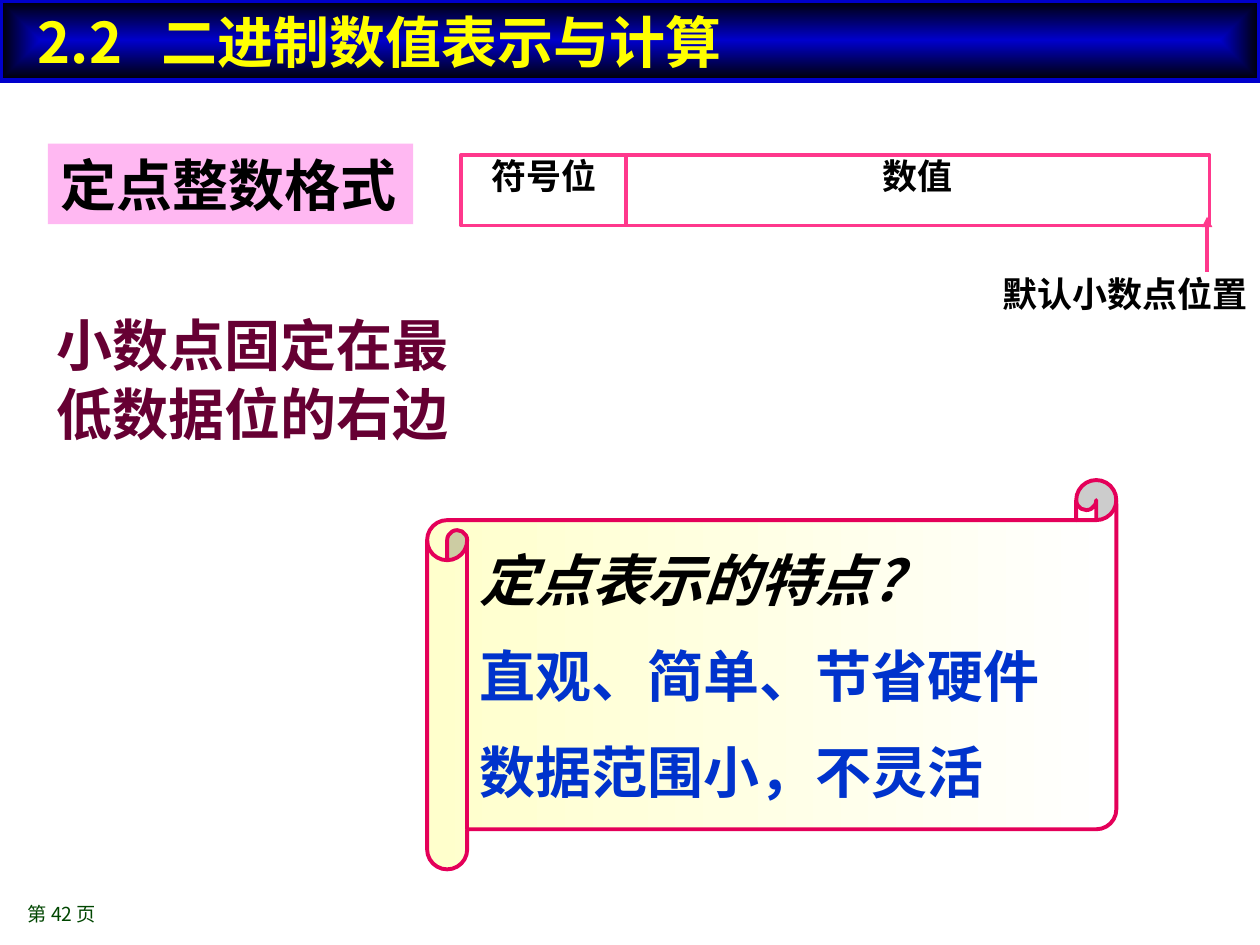
from lxml import etree
from pptx import Presentation
from pptx import util as u
from pptx.dml.color import RGBColor
from pptx.enum import shapes, text
from pptx.oxml import ns

BLACK = RGBColor(0x00, 0x00, 0x00)
WHITE = RGBColor(0xFF, 0xFF, 0xFF)
BANNER_BLUE = RGBColor(0x00, 0x00, 0xCC)
YELLOW = RGBColor(0xFF, 0xFF, 0x00)
PALE_PINK = RGBColor(0xFF, 0xB8, 0xF2)
HOT_PINK = RGBColor(0xFF, 0x38, 0x8C)
PLUM = RGBColor(0x66, 0x00, 0x33)
CREAM = RGBColor(0xFF, 0xFF, 0xCC)
CRIMSON = RGBColor(0xE4, 0x00, 0x59)
ANSWER_BLUE = RGBColor(0x00, 0x33, 0xCC)
DARK_GREEN = RGBColor(0x00, 0x46, 0x00)


def sub(parent, tag, **attributes):
    return etree.SubElement(parent, ns.qn(tag), attributes)


class SlideBuilder:
    """Hold the slide and its shared style, and add each kind of element."""

    font_name = "Noto Sans CJK SC"
    large = {"size": u.Pt(32), "bold": True}
    label = {"size": u.Pt(20), "bold": True}

    def __init__(self, slide):
        self.slide = slide

    def place(self, shape, box):
        for name, value in zip(("left", "top", "width", "height"), box):
            setattr(shape, name, u.Inches(value))

    def set_text(self, shape, lines, style, frame=None, paragraph=None, font_name=None):
        body = shape.text_frame
        settings = {"word_wrap": True, "auto_size": text.MSO_AUTO_SIZE.NONE,
                    "vertical_anchor": text.MSO_ANCHOR.MIDDLE, **(frame or {})}
        for name, value in settings.items():
            setattr(body, name, value)
        for index, (words, color, italic) in enumerate(lines):
            item = body.paragraphs[0] if index == 0 else body.add_paragraph()
            layout = {"alignment": text.PP_ALIGN.LEFT, **(paragraph or {})}
            if index:
                layout["space_before"] = u.Pt(16)
            for name, value in layout.items():
                setattr(item, name, value)
            run = item.add_run()
            run.text = words
            values = {"name": font_name or self.font_name, "italic": italic, **style}
            for name, value in values.items():
                setattr(run.font, name, value)
            run.font.color.rgb = color
            sub(run.font._element, "a:ea", typeface=values["name"])

    def outline(self, shape, color, width):
        shape.line.color.rgb = color
        shape.line.width = u.Pt(width)

    def gradient(self, shape, colors):
        shape.fill.gradient()
        for stop, color, position in zip(shape.fill.gradient_stops, colors, (0, 1)):
            stop.color.rgb = color
            stop.position = position
        shape.fill.gradient_angle = 0

    def banner(self, number, heading, box):
        title = self.slide.shapes.title
        self.place(title, box)
        self.gradient(title, (BANNER_BLUE, BLACK))
        linear = title._element.spPr.find(".//" + ns.qn("a:lin"))
        radial = etree.Element(ns.qn("a:path"), {"path": "shape"})
        sub(radial, "a:fillToRect", l="50000", t="50000", r="50000", b="50000")
        linear.getparent().replace(linear, radial)
        self.outline(title, BANNER_BLUE, 3)
        properties = title.text_frame.paragraphs[0]._p.get_or_add_pPr()
        sub(sub(properties, "a:tabLst"), "a:tab", pos=str(u.Inches(0.98)), algn="l")
        self.set_text(title, [(f"{number}\t{heading}", YELLOW, False)], self.large,
                      {"margin_left": u.Inches(0.3)}, {"line_spacing": u.Pt(39)},
                      "Noto Sans CJK JP")

    def panel(self, box, fill=None, line=None, kind=shapes.MSO_SHAPE.RECTANGLE):
        shape = self.slide.shapes.add_shape(kind, *map(u.Inches, box))
        shape.shadow.inherit = False
        if fill is not None:
            shape.fill.solid()
            shape.fill.fore_color.rgb = fill
        if line is None:
            shape.line.fill.background()
        else:
            self.outline(shape, *line)
        return shape

    def field(self, words, box, alignment=text.PP_ALIGN.CENTER, line=(HOT_PINK, 2)):
        self.set_text(self.panel(box, WHITE, line), [(words, BLACK, False)], self.label,
                      {"vertical_anchor": text.MSO_ANCHOR.TOP, "margin_top": 0},
                      {"alignment": alignment})

    def note(self, words, color, box, style, paragraph=None):
        shape = self.slide.shapes.add_textbox(*map(u.Inches, box))
        self.set_text(shape, [(words, color, False)], style, paragraph=paragraph)

    def scroll(self, lines, box):
        shape = self.panel(box, line=(CRIMSON, 2.25),
                           kind=shapes.MSO_SHAPE.HORIZONTAL_SCROLL)
        shape.adjustments[0] = 0.103
        self.gradient(shape, (CREAM, WHITE))
        self.set_text(shape, lines, self.large, {"word_wrap": False},
                      {"line_spacing": u.Pt(39)})

    def arrow(self, start, end):
        pointer = self.slide.shapes.add_connector(
            shapes.MSO_CONNECTOR.STRAIGHT, *map(u.Inches, start + end))
        self.outline(pointer, HOT_PINK, 2)
        line = pointer._element.spPr.find(ns.qn("a:ln"))
        sub(line, "a:tailEnd", type="triangle")
        sub(pointer._element.spPr, "a:effectLst")


def main():
    deck = Presentation()
    deck.slide_width, deck.slide_height = u.Inches(10), u.Inches(7.5)
    page = SlideBuilder(deck.slides.add_slide(deck.slide_layouts[5]))
    spacing = {"line_spacing": u.Pt(39)}

    page.banner("2.2", "二进制数值表示与计算", (0, 0, 10, 0.64))
    page.note("第 42 页", DARK_GREEN, (0.12, 7.06, 2.67, 0.38), {"size": u.Pt(11)})

    format_name = page.panel((0.38, 1.14, 2.9, 0.64), PALE_PINK)
    page.set_text(format_name, [("定点整数格式", BLACK, False)], page.large,
                  {"word_wrap": False}, spacing)
    page.note("小数点固定在最低数据位的右边", PLUM, (0.35, 2.41, 3.67, 1.18),
              page.large, spacing)

    page.scroll([("定点表示的特点?", BLACK, True),
                 ("直观、简单、节省硬件", ANSWER_BLUE, False),
                 ("数据范围小，不灵活", ANSWER_BLUE, False)],
                (3.39, 3.81, 5.47, 3.09))

    page.field("数值", (4.97, 1.23, 4.63, 0.56))
    page.field("符号位", (3.66, 1.23, 1.31, 0.56))
    page.arrow((9.58, 2.22), (9.58, 1.72))
    page.field("默认小数点位置", (7.69, 2.16, 2.31, 0.53), text.PP_ALIGN.RIGHT, None)

    deck.save("out.pptx")


if __name__ == "__main__":
    main()
